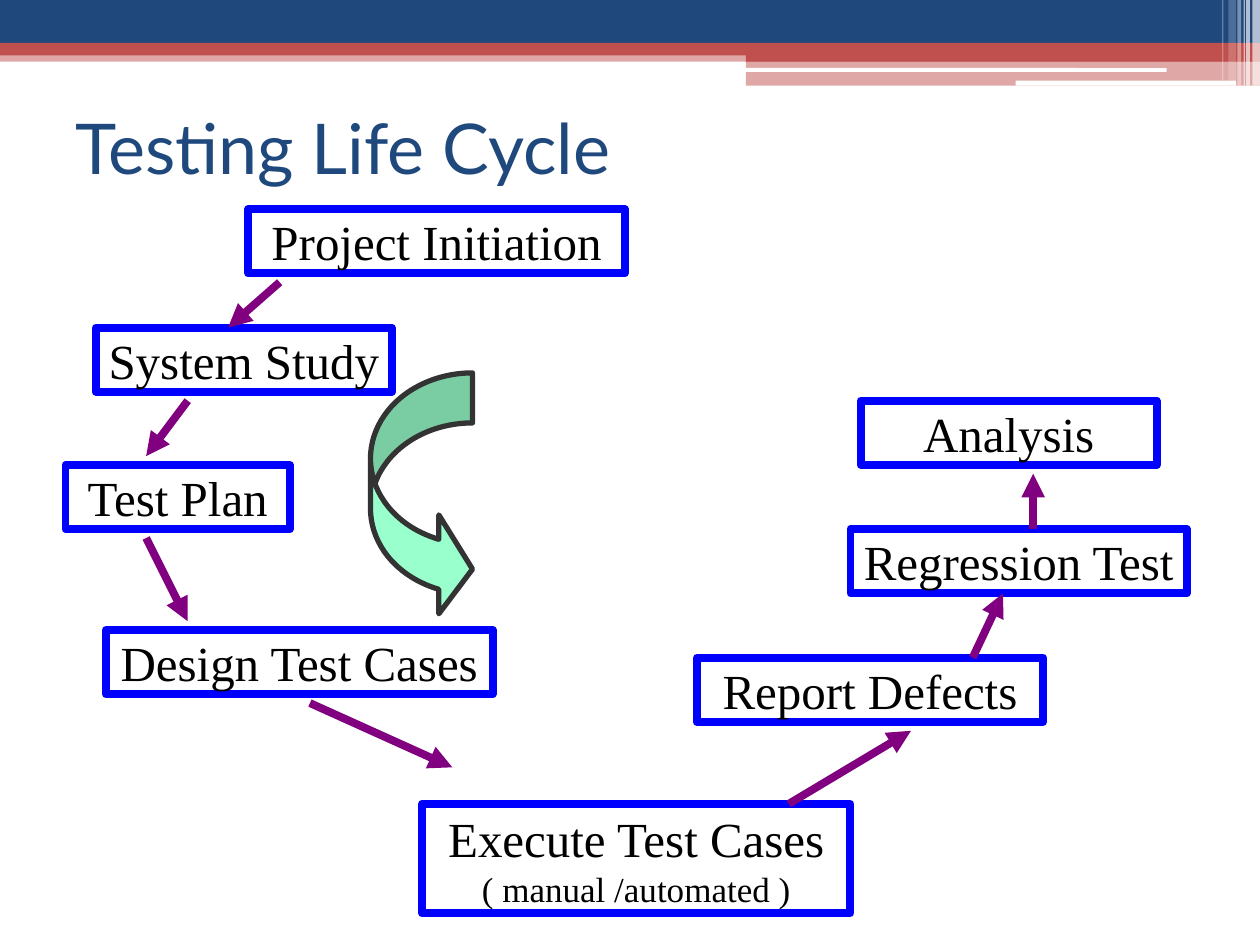
from lxml import etree
from pptx import Presentation
from pptx.dml.color import RGBColor
from pptx.enum.shapes import MSO_CONNECTOR, MSO_SHAPE
from pptx.enum.text import MSO_ANCHOR, MSO_AUTO_SIZE, PP_ALIGN
from pptx.oxml.ns import qn
from pptx.util import Inches, Pt

NAVY = RGBColor(0x1F, 0x49, 0x7D)
RED = RGBColor(0xC0, 0x50, 0x4D)
WHITE = RGBColor(0xFF, 0xFF, 0xFF)
BLACK = RGBColor(0, 0, 0)
BLUE = RGBColor(0, 0, 0xFF)
PURPLE = RGBColor(0x80, 0, 0x80)
MINT = RGBColor(0x99, 0xFF, 0xCC)
CHARCOAL = RGBColor(0x33, 0x33, 0x33)

COLUMNS, ROWS = 100, 75
STEP_HEIGHT = 5.1

# left, top, width, height, colour, opacity in percent
BANDS = [
    (0, 4, 100, 0.9, RED, 50),
    (0, 0, 100, 3.4, NAVY, 100),
    (0, 3.4, 100, 1, RED, 100),
    (59.2, 3.9, 40.8, 1, RED, 100),
    (59.2, 4.8, 40.8, 2, RED, 50),
]
ROUNDED_BANDS = [(59.1, 5.4, 33.5, 0.3), (80.6, 6.4, 17.5, 0.4)]
# left, width, height, opacity in percent
STRIPES = [
    (99.4, 0.6, 6.8, 65),
    (98.9, 0.3, 6.8, 65),
    (98.7, 0.1, 6.8, 60),
    (98.2, 0.3, 6.8, 40),
    (97.5, 0.6, 6.4, 20),
    (97, 0.1, 6.4, 30),
]
# text, left, top, width
STEPS = [
    ("Project Initiation", 19.7, 16.6, 29.9),
    ("System Study", 7.6, 26, 23.5),
    ("Analysis", 68.3, 31.8, 23.5),
    ("Regression Test", 67.5, 42, 26.7),
    ("Report Defects", 55.3, 52.2, 27.5),
    ("Design Test Cases", 8.4, 50, 30.7),
    ("Test Plan", 5.2, 36.9, 17.8),
]
# start column, start row, end column, end row
ARROWS = [
    (22.2, 22.4, 18.1, 26),
    (14.9, 31.8, 11.6, 36.2),
    (11.6, 42.7, 14.9, 49.3),
    (24.6, 55.8, 35.9, 60.9),
    (62.6, 63.8, 72.3, 58),
    (77.2, 52.2, 79.6, 47.1),
    (82, 42, 82, 37.6),
]


class SlideBuilder:
    """Places elements on a grid of COLUMNS by ROWS."""
    title_font, step_font = "Lato", "Times New Roman"
    title_size, step_size, note_size = Pt(40), Pt(28), Pt(20)
    line_width = Pt(4.5)

    def __init__(self, deck):
        self.column = deck.slide_width / COLUMNS
        self.row = deck.slide_height / ROWS
        self.page = deck.slides.add_slide(deck.slide_layouts[5])

    def lengths(self, *values):
        """Turn alternating columns and rows into slide lengths."""
        return [round(value * (self.row if index % 2 else self.column))
                for index, value in enumerate(values)]

    def add_span(self, para, text, font, size, color):
        span = para.add_run()
        span.text = text
        span.font.name, span.font.size = font, size
        span.font.color.rgb = color

    def title(self, text, *place):
        box = self.page.shapes.title
        box.left, box.top, box.width, box.height = self.lengths(*place)
        frame = box.text_frame
        frame.auto_size = MSO_AUTO_SIZE.NONE
        frame.vertical_anchor = MSO_ANCHOR.MIDDLE
        para = frame.paragraphs[0]
        para.alignment = PP_ALIGN.LEFT
        self.add_span(para, text, self.title_font, self.title_size, NAVY)

    def shape(self, kind, *place):
        shape = self.page.shapes.add_shape(kind, *self.lengths(*place))
        shape.shadow.inherit = False
        return shape

    def band(self, left, top, width, height, color, opacity=100, kind=MSO_SHAPE.RECTANGLE):
        band = self.shape(kind, left, top, width, height)
        band.line.fill.background()
        band.fill.solid()
        band.fill.fore_color.rgb = color
        if opacity < 100:
            tint = band.element.spPr.find(qn("a:solidFill")).find(qn("a:srgbClr"))
            etree.SubElement(tint, qn("a:alpha"), val=str(opacity * 1000))

    def step(self, text, left, top, width, height=STEP_HEIGHT, note=None):
        box = self.shape(MSO_SHAPE.RECTANGLE, left, top, width, height)
        box.fill.background()
        box.line.color.rgb, box.line.width = BLUE, self.line_width
        frame = box.text_frame
        frame.word_wrap = False
        frame.vertical_anchor = MSO_ANCHOR.MIDDLE
        para = frame.paragraphs[0]
        para.alignment = PP_ALIGN.CENTER
        self.add_span(para, text, self.step_font, self.step_size, BLACK)
        if note:
            para = frame.add_paragraph()
            para.alignment = PP_ALIGN.CENTER
            self.add_span(para, note, self.step_font, self.note_size, BLACK)

    def curved_arrow(self, *place):
        arrow = self.shape(MSO_SHAPE.CURVED_RIGHT_ARROW, *place)
        for index, share in enumerate((0.49, 0.97, 0.33)):
            arrow.adjustments[index] = share
        arrow.fill.solid()
        arrow.fill.fore_color.rgb = MINT
        arrow.line.color.rgb, arrow.line.width = CHARCOAL, Pt(3)

    def arrow(self, *ends):
        arrow = self.page.shapes.add_connector(MSO_CONNECTOR.STRAIGHT, *self.lengths(*ends))
        arrow.line.color.rgb, arrow.line.width = PURPLE, self.line_width
        properties = arrow.element.spPr
        etree.SubElement(properties.find(qn("a:ln")), qn("a:tailEnd"), type="triangle")
        etree.SubElement(properties, qn("a:effectLst"))


def main():
    deck = Presentation()
    deck.slide_width, deck.slide_height = Inches(10), Inches(7.5)
    builder = SlideBuilder(deck)
    for band in BANDS:
        builder.band(*band)
    for place in ROUNDED_BANDS:
        builder.band(*place, WHITE, kind=MSO_SHAPE.ROUNDED_RECTANGLE)
    for left, width, height, opacity in STRIPES:
        builder.band(left, 0, width, height, WHITE, opacity)
    builder.title("Testing Life Cycle", 5, 5.8, 90, 11.7)
    for step in STEPS:
        builder.step(*step)
    builder.step("Execute Test Cases", 33.5, 63.8, 34, 8.7, "( manual /automated )")
    builder.curved_arrow(29.4, 29.6, 8.1, 19.5)
    for ends in ARROWS:
        builder.arrow(*ends)
    deck.save("out.pptx")


if __name__ == "__main__":
    main()
